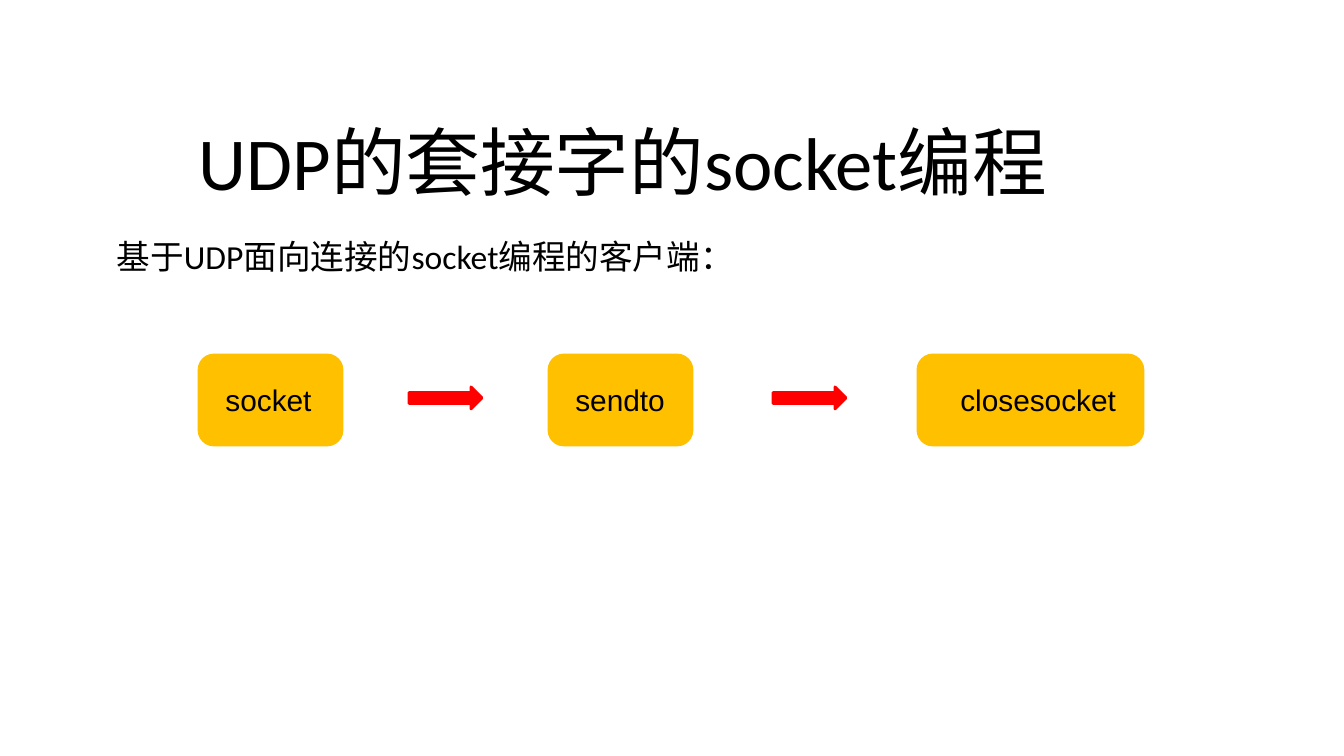
"""Build a slide on the client side of UDP socket programming."""
from pptx import Presentation
from pptx.dml.color import RGBColor
from pptx.enum.shapes import MSO_SHAPE
from pptx.enum.text import MSO_ANCHOR, PP_ALIGN
from pptx.util import Pt

PX = 914400 / 134.4
COLORS = {"text": "000000", "paper": "FFFFFF", "step": "FFC000", "arrow": "FF0000"}

TITLE = "UDP的套接字的socket编程"
SUBTITLE = "基于UDP面向连接的socket编程的客户端："
STEPS = [("socket", 199, 143, 22), ("sendto", 549, 143, 22), ("closesocket", 918, 225, 38)]
ARROWS = [409, 773]
STEP_TOP, STEP_H = 355, 90
ARROW_W, ARROW_H = 73, 22


def px(n):
    return round(n * PX)


def rgb(name):
    return RGBColor.from_string(COLORS[name])


def add_text(sp, text, size, font, align=PP_ALIGN.LEFT, left=13, right=13):
    tf = sp.text_frame
    tf.word_wrap = True
    tf.vertical_anchor = MSO_ANCHOR.MIDDLE
    tf.margin_left, tf.margin_right = px(left), px(right)
    tf.text = text
    p = tf.paragraphs[0]
    p.alignment = align
    r = p.runs[0]
    r.font.size = Pt(size)
    r.font.name = font
    r.font.color.rgb = rgb("text")


def add_block(s, kind, box, color, line):
    sp = s.shapes.add_shape(kind, *map(px, box))
    sp.shadow.inherit = False
    sp.fill.solid()
    sp.fill.fore_color.rgb = rgb(color)
    sp.line.color.rgb = rgb(color)
    sp.line.width = Pt(line)
    return sp


def main():
    prs = Presentation()
    prs.slide_width, prs.slide_height = px(1344), px(756)
    s = prs.slides.add_slide(prs.slide_layouts[6])

    title = s.shapes.add_textbox(*map(px, (185, 98, 997, 126)))
    add_text(title, TITLE, 40, "Calibri", left=14)
    subtitle = add_block(s, MSO_SHAPE.RECTANGLE, (78, 224, 661, 65), "paper", 2)
    add_text(subtitle, SUBTITLE, 18, "Calibri", PP_ALIGN.CENTER, left=30, right=30)

    for name, left, width, inset in STEPS:
        box = (left, STEP_TOP, width, STEP_H)
        sp = add_block(s, MSO_SHAPE.FLOWCHART_ALTERNATE_PROCESS, box, "step", 1.5)
        add_text(sp, name, 16, "Arial", left=inset)

    arrow_top = STEP_TOP + (STEP_H - ARROW_H) // 2 - 2
    for left in ARROWS:
        add_block(s, MSO_SHAPE.RIGHT_ARROW, (left, arrow_top, ARROW_W, ARROW_H), "arrow", 1.5)

    prs.save("out.pptx")


if __name__ == "__main__":
    main()
